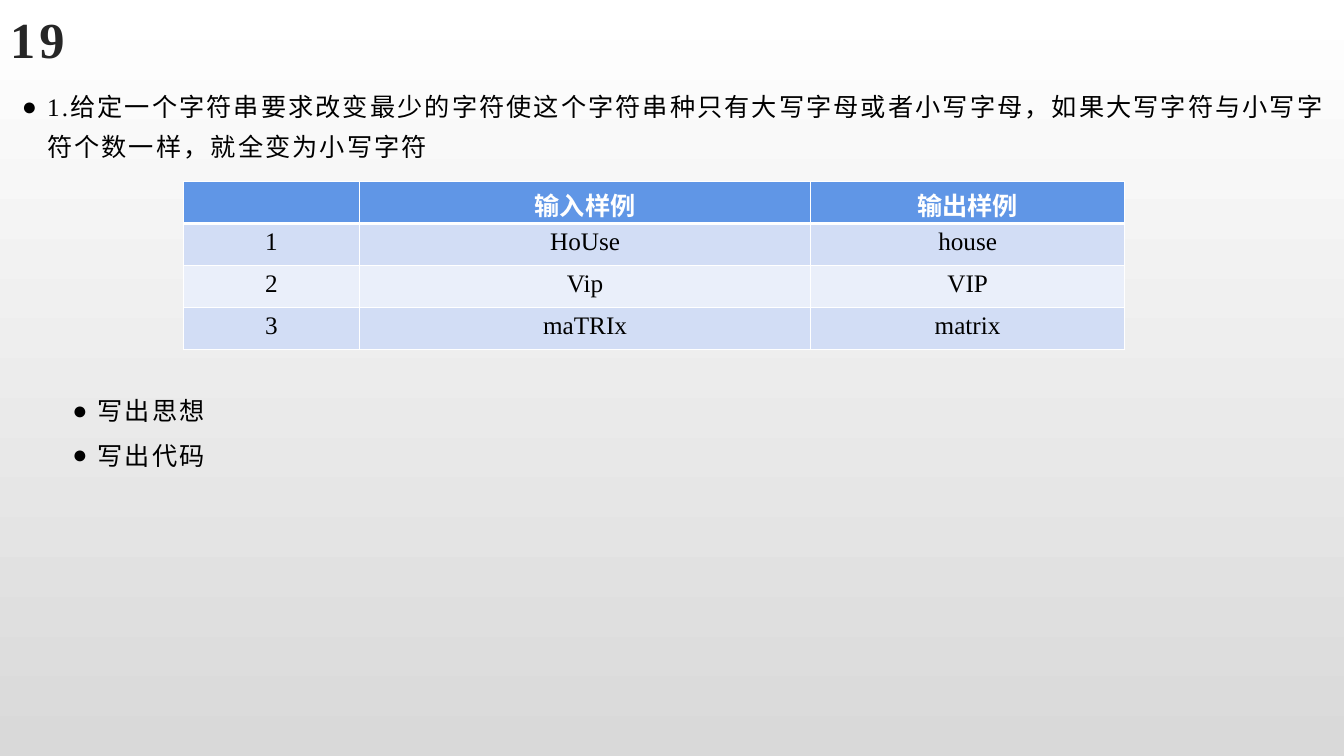
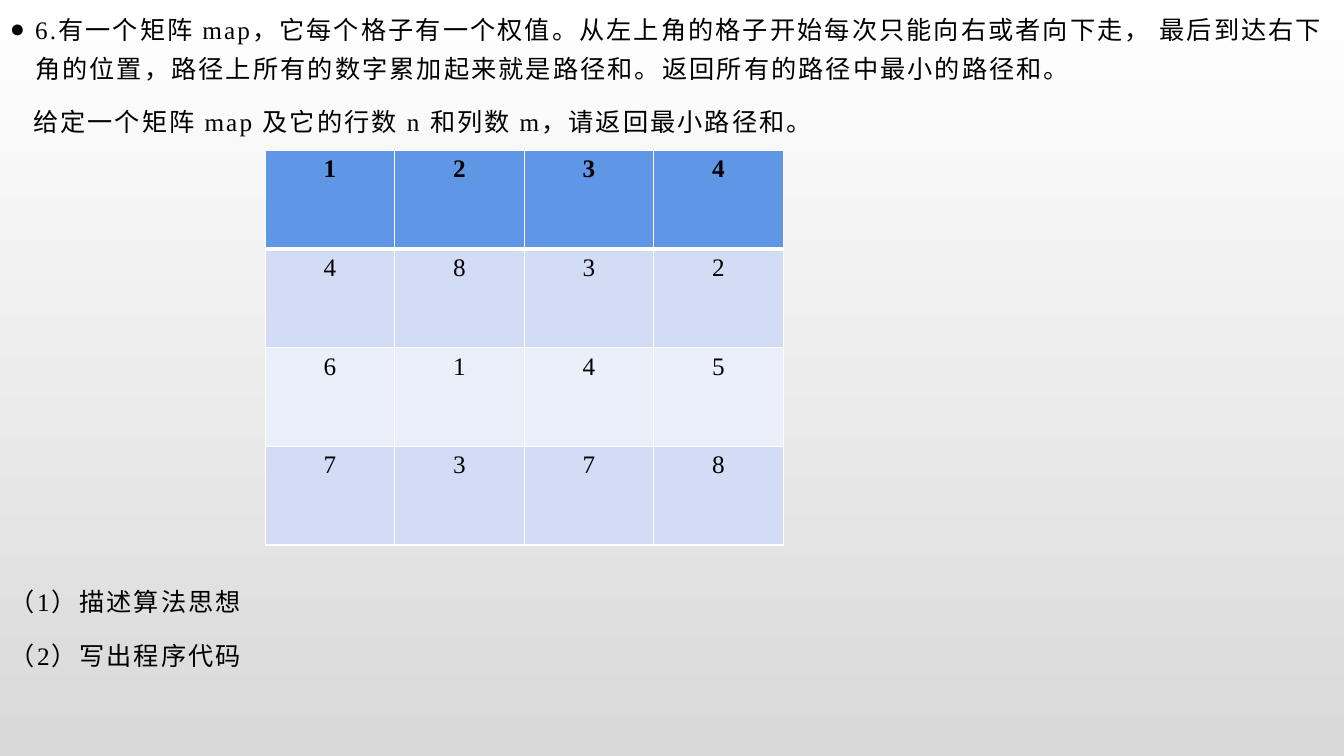
"""Build two exercise slides, each with a problem statement and a sample table."""
from dataclasses import dataclass

from lxml import etree
from pptx import Presentation
from pptx.dml.color import RGBColor
from pptx.enum.lang import MSO_LANGUAGE_ID
from pptx.enum.text import MSO_ANCHOR, MSO_AUTO_SIZE, PP_ALIGN
from pptx.oxml.ns import qn
from pptx.util import Pt

WHITE = RGBColor(0xFF, 0xFF, 0xFF)
BLACK = RGBColor(0x00, 0x00, 0x00)
TITLE_GRAY = RGBColor(0x26, 0x26, 0x26)
BACKGROUND_GRAY = RGBColor(0xD9, 0xD9, 0xD9)
HEADER_BLUE = RGBColor(0x60, 0x96, 0xE6)
BAND_DARK = RGBColor(0xD2, 0xDD, 0xF5)
BAND_LIGHT = RGBColor(0xEA, 0xEF, 0xFA)

FONT_NAME = "Times New Roman"
CHINESE = MSO_LANGUAGE_ID.SIMPLIFIED_CHINESE
LEFT, CENTER = PP_ALIGN.LEFT, PP_ALIGN.CENTER
MIDDLE = MSO_ANCHOR.MIDDLE
NO_AUTOFIT = MSO_AUTO_SIZE.NONE
SLIDE_WIDTH, SLIDE_HEIGHT = 960, 540
TITLE_ONLY, BLANK = 5, 6
THIN, THICK = 1, 3


@dataclass(frozen=True)
class Line:
    """One paragraph of body text."""

    text: str
    margin: float = 0
    bullet: bool = False
    spacing: float = 1.3
    after: float = 10


@dataclass(frozen=True)
class TextBlock:
    """A body text box and its paragraphs."""

    left: float
    top: float
    width: float
    height: float
    lines: tuple[Line, ...]


@dataclass(frozen=True)
class Grid:
    """A table with a header row and banded rows."""

    left: float
    top: float
    columns: tuple[float, ...]
    row_height: float
    header_color: RGBColor
    rows: tuple[tuple[str, ...], ...]


@dataclass(frozen=True)
class Page:
    """The content of one slide."""

    title: str
    blocks: tuple[TextBlock, ...]
    grid: Grid


PAGES = (
    Page(
        "19",
        (
            TextBlock(8.64, 55.44, 951.36, 70, (
                Line("1.给定一个字符串要求改变最少的字符使这个字符串种只有大写字母或者小写字母，"
                     "如果大写字符与小写字符个数一样，就全变为小写字符", 18, True),
            )),
            TextBlock(8.64, 274.5, 951.36, 70, (
                Line("写出思想", 54, True, 1.2, 6),
                Line("写出代码", 54, True, 1.2, 6),
            )),
        ),
        Grid(131.2, 129.6, (125.5, 322.5, 224), 30, WHITE, (
            ("", "输入样例", "输出样例"),
            ("1", "HoUse", "house"),
            ("2", "Vip", "VIP"),
            ("3", "maTRIx", "matrix"),
        )),
    ),
    Page(
        "",
        (
            TextBlock(0, 0, SLIDE_WIDTH, 106, (
                Line("6.有一个矩阵 map，它每个格子有一个权值。从左上角的格子开始每次只能向右或者向下走， "
                     "最后到达右下角的位置，路径上所有的数字累加起来就是路径和。"
                     "返回所有的路径中最小的路径和。", 18, True),
                Line("给定一个矩阵 map 及它的行数 n 和列数 m，请返回最小路径和。", 16.5),
            )),
            TextBlock(0, 409, SLIDE_WIDTH, 84, (
                Line("（1）描述算法思想"),
                Line("（2）写出程序代码"),
            )),
        ),
        Grid(189.4, 107.3, (92.5,) * 4, 70.5, BLACK, (
            ("1", "2", "3", "4"),
            ("4", "8", "3", "2"),
            ("6", "1", "4", "5"),
            ("7", "3", "7", "8"),
        )),
    ),
)


def write_text(paragraph, text: str, *, size: float = 18, color: RGBColor = BLACK,
               bold: bool = False, tracking: float = 0, align: PP_ALIGN = LEFT) -> None:
    """Write one formatted run into a paragraph."""
    paragraph.alignment = align
    run = paragraph.add_run()
    run.text = text
    run.font.name = FONT_NAME
    run.font.size = Pt(size)
    run.font.bold = bold
    run.font.color.rgb = color
    run.font.language_id = CHINESE
    run.font._element.set("spc", str(round(tracking * 100)))


def indent(paragraph, margin: float, bullet: bool) -> None:
    """Set the left margin of a paragraph and its hanging bullet."""
    properties = paragraph._p.get_or_add_pPr()
    properties.set("marL", str(Pt(margin)))
    properties.set("indent", str(Pt(-18 if bullet else 0)))
    if bullet:
        etree.SubElement(properties, qn("a:buFont"), typeface="Arial")
        etree.SubElement(properties, qn("a:buChar"), char="●")


def add_title(slide, text: str) -> None:
    """Place and fill the title placeholder."""
    title = slide.shapes.title
    title.left, title.top, title.width, title.height = Pt(0), Pt(0), Pt(864), Pt(55.44)
    frame = title.text_frame
    frame.auto_size = NO_AUTOFIT
    frame.vertical_anchor = MIDDLE
    write_text(frame.paragraphs[0], text, size=36, color=TITLE_GRAY, bold=True, tracking=3)


def add_block(slide, block: TextBlock) -> None:
    """Draw a body text box."""
    shape = slide.shapes.add_textbox(
        Pt(block.left), Pt(block.top), Pt(block.width), Pt(block.height))
    frame = shape.text_frame
    frame.word_wrap = True
    for index, line in enumerate(block.lines):
        paragraph = frame.add_paragraph() if index else frame.paragraphs[0]
        indent(paragraph, line.margin, line.bullet)
        paragraph.line_spacing = line.spacing
        paragraph.space_after = Pt(line.after)
        write_text(paragraph, line.text, tracking=1.5)


def set_borders(cell, top: float, bottom: float) -> None:
    """Give a cell white borders of the given top and bottom widths."""
    properties = cell._tc.get_or_add_tcPr()
    for tag, width in (("lnL", THIN), ("lnR", THIN), ("lnT", top), ("lnB", bottom)):
        border = etree.SubElement(properties, qn(f"a:{tag}"), w=str(Pt(width)))
        fill = etree.SubElement(border, qn("a:solidFill"))
        etree.SubElement(fill, qn("a:srgbClr"), val=str(WHITE))


def add_grid(slide, grid: Grid) -> None:
    """Draw a table with a blue header and banded rows."""
    row_count = len(grid.rows)
    table = slide.shapes.add_table(
        row_count, len(grid.columns), Pt(grid.left), Pt(grid.top),
        Pt(sum(grid.columns)), Pt(grid.row_height * row_count)).table
    for column, width in zip(table.columns, grid.columns):
        column.width = Pt(width)
    for row_index, texts in enumerate(grid.rows):
        table.rows[row_index].height = Pt(grid.row_height)
        header = row_index == 0
        band = BAND_DARK if row_index % 2 else BAND_LIGHT
        for column_index, text in enumerate(texts):
            cell = table.cell(row_index, column_index)
            set_borders(cell, THICK if row_index == 1 else THIN, THICK if header else THIN)
            cell.fill.solid()
            cell.fill.fore_color.rgb = HEADER_BLUE if header else band
            if text:
                write_text(cell.text_frame.paragraphs[0], text, bold=header, align=CENTER,
                           color=grid.header_color if header else BLACK)


def set_background(presentation) -> None:
    """Give the slide master a vertical gradient."""
    fill = presentation.slide_master.background.fill
    fill.gradient()
    fill.gradient_angle = 270
    for stop, color in zip(fill.gradient_stops, (WHITE, BACKGROUND_GRAY)):
        stop.color.rgb = color


def add_page(presentation, page: Page) -> None:
    """Add one slide with its title, text and table."""
    layout = presentation.slide_layouts[TITLE_ONLY if page.title else BLANK]
    slide = presentation.slides.add_slide(layout)
    if page.title:
        add_title(slide, page.title)
    for block in page.blocks:
        add_block(slide, block)
    add_grid(slide, page.grid)


def main() -> None:
    """Build and save the presentation."""
    presentation = Presentation()
    presentation.slide_width = Pt(SLIDE_WIDTH)
    presentation.slide_height = Pt(SLIDE_HEIGHT)
    set_background(presentation)
    for page in PAGES:
        add_page(presentation, page)
    presentation.save("out.pptx")


if __name__ == "__main__":
    main()
